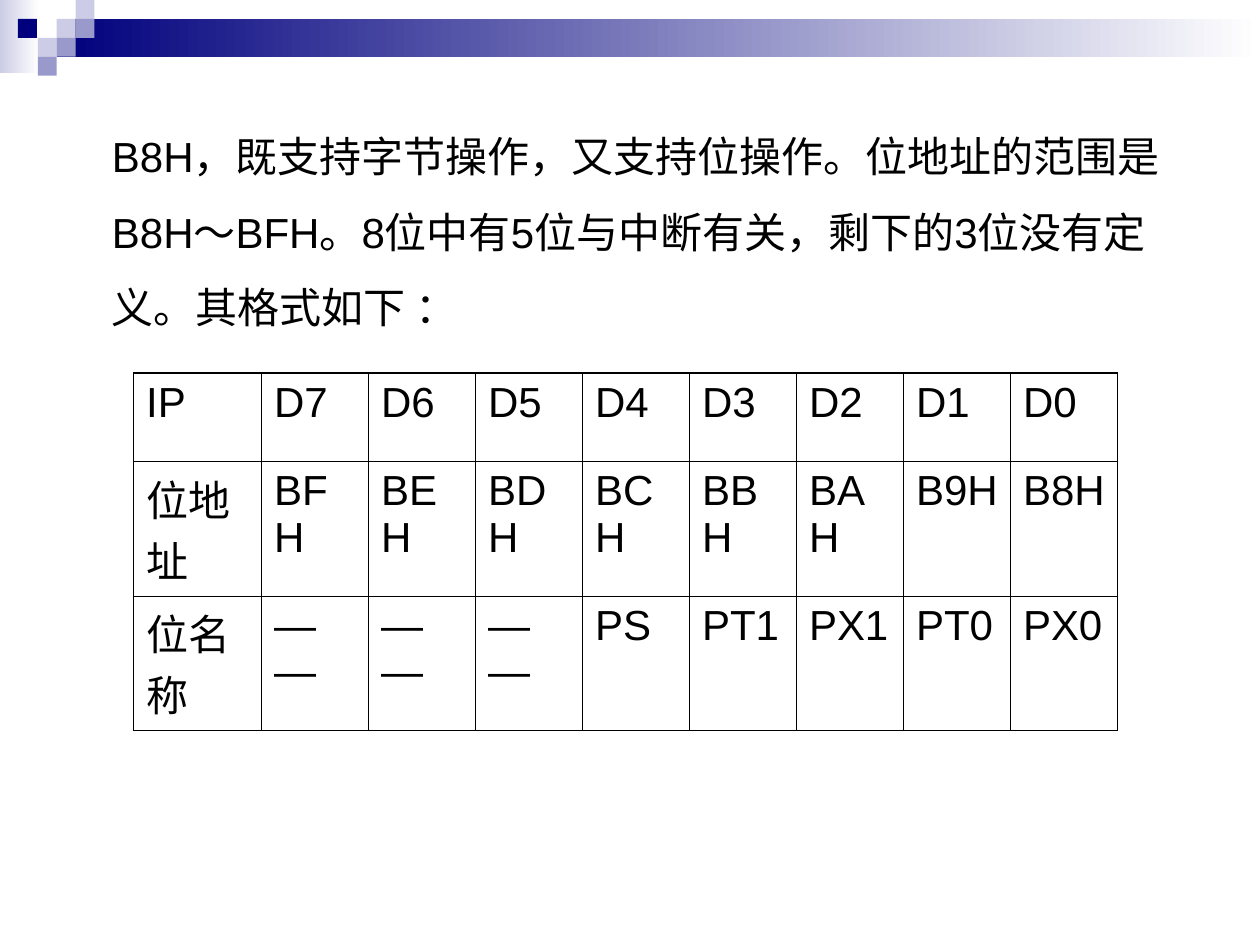
from lxml.etree import SubElement
from pptx import Presentation
from pptx.dml.color import RGBColor
from pptx.enum.shapes import MSO_SHAPE as Preset
from pptx.enum.text import MSO_ANCHOR as Anchor, PP_ALIGN as Align
from pptx.oxml.ns import qn
from pptx.util import Inches, Pt

NAVY = RGBColor(0x00, 0x00, 0x7D)
PERIWINKLE = RGBColor(0x99, 0x99, 0xCC)
LAVENDER = RGBColor(0xCC, 0xCC, 0xE6)
BLACK = RGBColor(0x00, 0x00, 0x00)
WHITE = RGBColor(0xFF, 0xFF, 0xFF)

SLIDE_WIDTH, SLIDE_HEIGHT = Inches(10), Inches(7.5)
UNIT = SLIDE_HEIGHT / 50
FRAME_FORMAT = {
    "margin_left": Inches(0.1), "margin_right": Inches(0.1),
    "margin_top": Inches(0.05), "margin_bottom": Inches(0.05),
    "word_wrap": True, "vertical_anchor": Anchor.TOP,
}
BODY_FORMAT = {"size": Pt(24), "name": "Arial"}
THICK, THIN = Pt(1.08), Pt(0.45)

BANNER_FADES = [(0, 0, 2.07, 3.87, LAVENDER), (3, 1, 63.67, 2, NAVY)]
BANNER_SQUARES = [
    (3, 1, LAVENDER), (4, 0, LAVENDER), (4, 1, PERIWINKLE), (2, 2, LAVENDER),
    (0.95, 1, NAVY), (3, 2, PERIWINKLE), (2, 3, PERIWINKLE),
]
EXPLANATION = [
    "B8H，既支持字节操作，又支持位操作。位地址的范围是",
    "B8H～BFH。8位中有5位与中断有关，剩下的3位没有定",
    "义。其格式如下 ：",
]
REGISTER_BITS = [
    ["IP"] + [f"D{bit}" for bit in range(7, -1, -1)],
    ["位地址"] + [f"B{digit}H" for digit in "FEDCBA98"],
    ["位名称"] + ["——"] * 3 + ["PS", "PT1", "PX1", "PT0", "PX0"],
]


def apply_format(target, values):
    """Set each named attribute of the target."""
    for attribute, value in values.items():
        setattr(target, attribute, value)


def write_lines(frame, lines, spacing):
    """Fill a text frame with one body paragraph per line."""
    apply_format(frame, FRAME_FORMAT)
    for index, line in enumerate(lines):
        paragraph = frame.add_paragraph() if index else frame.paragraphs[0]
        apply_format(paragraph, {"alignment": Align.LEFT, "line_spacing": spacing})
        words = paragraph.add_run()
        words.text = line
        apply_format(words.font, BODY_FORMAT)
        words.font.color.rgb = BLACK


def add_block(slide, box, color, fades=False):
    """Draw a borderless rectangle, solid or fading to white."""
    block = slide.shapes.add_shape(Preset.RECTANGLE, *map(round, box))
    block.shadow.inherit = False
    block.line.fill.background()
    if fades:
        block.fill.gradient()
        block.fill.gradient_angle = 0
        for stop, shade in zip(block.fill.gradient_stops, (color, WHITE)):
            stop.color.rgb = shade
    else:
        block.fill.solid()
        block.fill.fore_color.rgb = color


def add_banner(slide, left, top, unit):
    """Place the fading bars and mosaic squares on a square grid."""
    for column, row, columns, rows, color in BANNER_FADES:
        box = (left + column * unit, top + row * unit, columns * unit, rows * unit)
        add_block(slide, box, color, fades=True)
    for column, row, color in BANNER_SQUARES:
        add_block(slide, (left + column * unit, top + row * unit, unit, unit), color)


def add_explanation(slide, left, top, width, height):
    """Place the explanatory text in its box."""
    explanation = slide.shapes.add_textbox(left, top, width, height)
    write_lines(explanation.text_frame, EXPLANATION, 1.5)


def set_borders(cell, widths):
    """Give the cell black borders of the widths named by side."""
    properties = cell._tc.get_or_add_tcPr()
    for side, width in widths.items():
        edge = SubElement(properties, qn(f"a:ln{side}"), w=str(width))
        paint = SubElement(edge, qn("a:solidFill"))
        SubElement(paint, qn("a:srgbClr"), val=str(BLACK))


def add_register_table(slide, left, top, width, height):
    """Place the register table with a wider label column."""
    last_row, last_column = len(REGISTER_BITS) - 1, len(REGISTER_BITS[0]) - 1
    register = slide.shapes.add_table(
        last_row + 1, last_column + 1, left, top, width, height).table
    apply_format(register, {"first_row": False, "horz_banding": False})
    label_width = round(width * 0.13)
    bit_width = (width - label_width) // last_column
    for index, column in enumerate(register.columns):
        column.width = bit_width if index else label_width
    for row, share in zip(register.rows, (0.28, 0.36, 0.36)):
        row.height = round(height * share)
    for r, bits in enumerate(REGISTER_BITS):
        for c, label in enumerate(bits):
            cell = register.cell(r, c)
            write_lines(cell.text_frame, [label], 1.0)
            outer = {"L": c == 0, "R": c == last_column, "T": r == 0, "B": r == last_row}
            set_borders(cell, {side: THICK if edge else THIN for side, edge in outer.items()})
            cell.fill.background()


def main():
    """Build and save the slide."""
    deck = Presentation()
    apply_format(deck, {"slide_width": SLIDE_WIDTH, "slide_height": SLIDE_HEIGHT})
    slide = deck.slides.add_slide(deck.slide_layouts[6])
    add_banner(slide, 0, 0, UNIT)
    add_register_table(slide, round(SLIDE_WIDTH * 0.106), round(SLIDE_HEIGHT * 0.395),
                       round(SLIDE_WIDTH * 0.781), round(SLIDE_HEIGHT * 0.333))
    add_explanation(slide, round(SLIDE_WIDTH * 0.079), round(SLIDE_HEIGHT * 0.105),
                    round(SLIDE_WIDTH * 0.92), round(SLIDE_HEIGHT * 0.143))
    deck.save("out.pptx")


if __name__ == "__main__":
    main()
